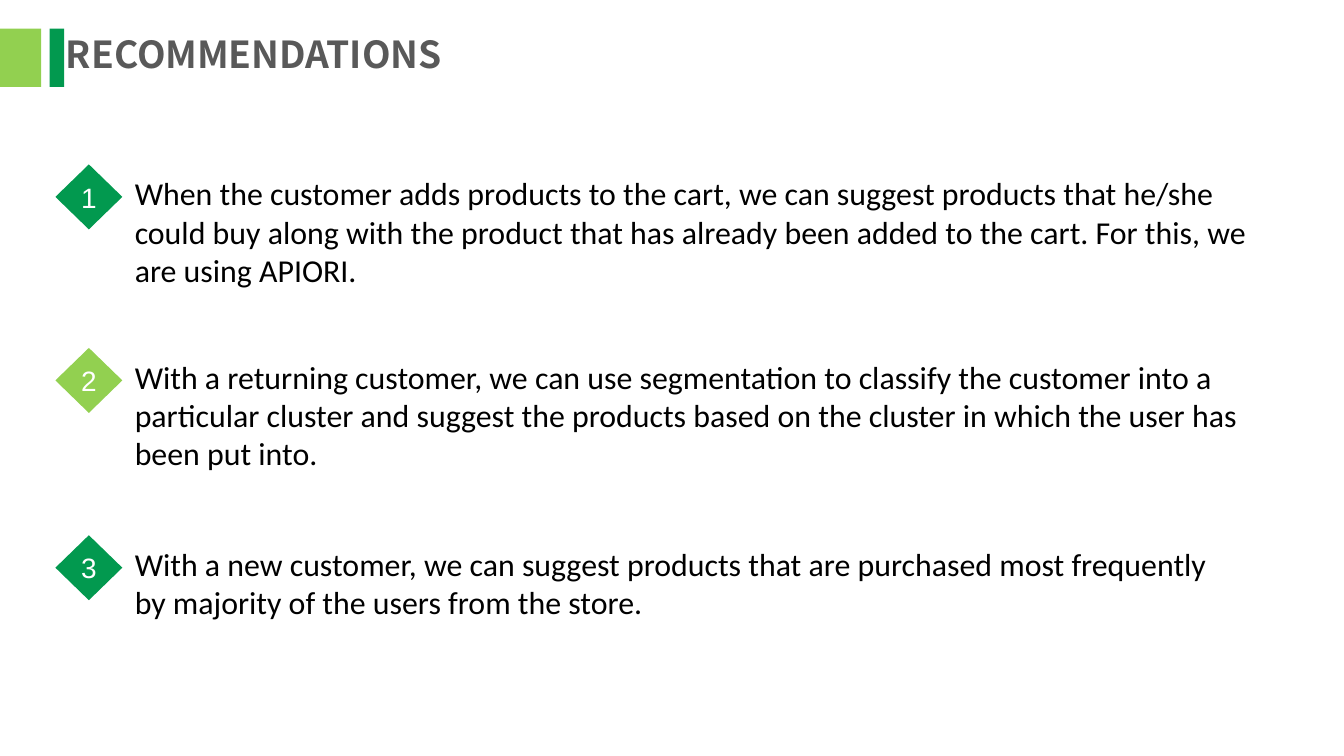
"""Build the Recommendations slide: a titled list of three numbered suggestions."""
from dataclasses import dataclass

from lxml import etree
from pptx import Presentation
from pptx.dml.color import RGBColor
from pptx.enum.shapes import MSO_SHAPE
from pptx.enum.text import MSO_ANCHOR, MSO_AUTO_SIZE, PP_ALIGN
from pptx.oxml.ns import qn
from pptx.util import Inches, Pt

RECTANGLE, DECISION = MSO_SHAPE.RECTANGLE, MSO_SHAPE.FLOWCHART_DECISION
TOP, MIDDLE = MSO_ANCHOR.TOP, MSO_ANCHOR.MIDDLE
LEFT, CENTER = PP_ALIGN.LEFT, PP_ALIGN.CENTER
NO_AUTOFIT = MSO_AUTO_SIZE.NONE


@dataclass(frozen=True)
class Theme:
    lime: str = "92D050"
    green: str = "02994F"
    heading: str = "595959"
    ink: str = "000000"
    white: str = "FFFFFF"
    heading_font: str = "Noto Sans CJK SC"
    body_font: str = "Calibri"
    number_font: str = "Arial"
    heading_size: float = 28
    body_size: float = 24
    number_size: float = 21.1


THEME = Theme()


def write(holder, text, *, font, size, color, bold=False, align=LEFT, anchor=TOP, insets=(0, 0, 0, 0)):
    frame = holder.text_frame
    frame.auto_size = NO_AUTOFIT
    frame.word_wrap = True
    frame.vertical_anchor = anchor
    frame.margin_left, frame.margin_top, frame.margin_right, frame.margin_bottom = map(Inches, insets)
    paragraph = frame.paragraphs[0]
    paragraph.alignment = align
    paragraph.space_before = Pt(0)
    properties = paragraph._p.get_or_add_pPr()
    properties.set("marL", "0")
    properties.set("indent", "0")
    etree.SubElement(properties, qn("a:buNone"))
    run = paragraph.add_run()
    run.text = text
    run.font.name = font
    run.font.size = Pt(size)
    run.font.bold = bold
    run.font.color.rgb = RGBColor.from_string(color)


def add_block(slide, kind, box, color):
    block = slide.shapes.add_shape(kind, *map(Inches, box))
    block.shadow.inherit = False
    block.fill.solid()
    block.fill.fore_color.rgb = RGBColor.from_string(color)
    block.line.fill.background()
    return block


deck = Presentation()
deck.slide_width, deck.slide_height = Inches(14.06), Inches(7.91)
slide = deck.slides.add_slide(deck.slide_layouts.get_by_name("Comparison"))

for left, width, color in [(0, 0.43, THEME.lime), (0.52, 0.15, THEME.green)]:
    add_block(slide, RECTANGLE, (left, 0.3, width, 0.61), color)

heading = slide.shapes.title
heading.left, heading.top, heading.width, heading.height = map(Inches, (0.5, 0.26, 8, 0.61))
write(heading, "RECOMMENDATIONS", font=THEME.heading_font, size=THEME.heading_size,
      color=THEME.heading, bold=True, anchor=MIDDLE, insets=(0.19, 0.05, 0.1, 0.05))

recommendations = [
    (1.72, 12.45, 1.45, THEME.green,
     "When the customer adds products to the cart, we can suggest products that he/she could buy "
     "along with the product that has already been added to the cart. For this, we are using APIORI."),
    (3.64, 12.45, 1.72, THEME.lime,
     "With a returning customer, we can use segmentation to classify the customer into a particular "
     "cluster and suggest the products based on the cluster in which the user has been put into."),
    (5.6, 11.98, 1.31, THEME.green,
     "With a new customer, we can suggest products that are purchased most frequently by majority "
     "of the users from the store."),
]
bodies = [holder for holder in slide.placeholders if 1 <= holder.placeholder_format.idx <= 4]

for number, (body, (top, width, height, color, advice)) in enumerate(zip(bodies, recommendations), 1):
    body.left, body.top, body.width, body.height = map(Inches, (0.81, top, width, height))
    write(body, advice, font=THEME.body_font, size=THEME.body_size, color=THEME.ink,
          insets=(0.6, 0.1, 0.1, 0.1))
    badge = add_block(slide, DECISION, (0.58, top, 0.7, 0.68), color)
    write(badge, str(number), font=THEME.number_font, size=THEME.number_size, color=THEME.white,
          align=CENTER, anchor=MIDDLE)

for unused in bodies[len(recommendations):]:
    unused.element.getparent().remove(unused.element)

deck.save("out.pptx")
